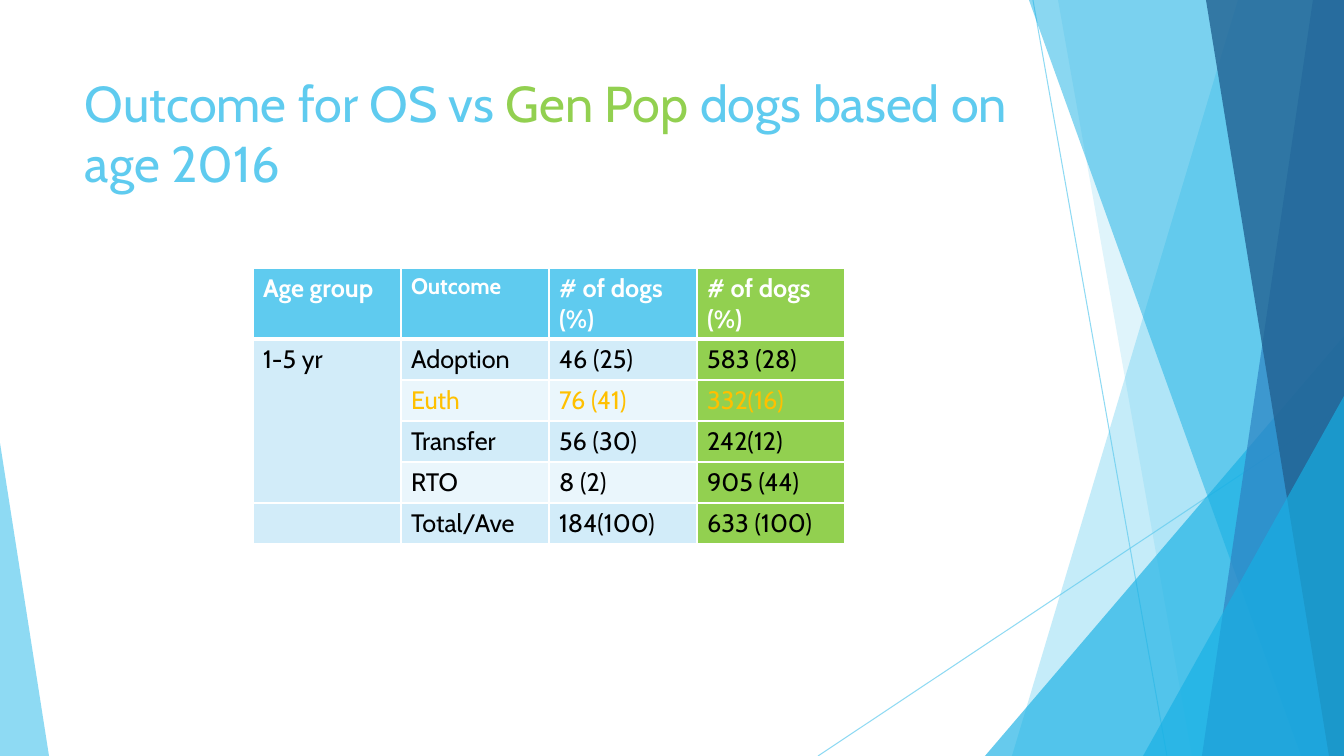
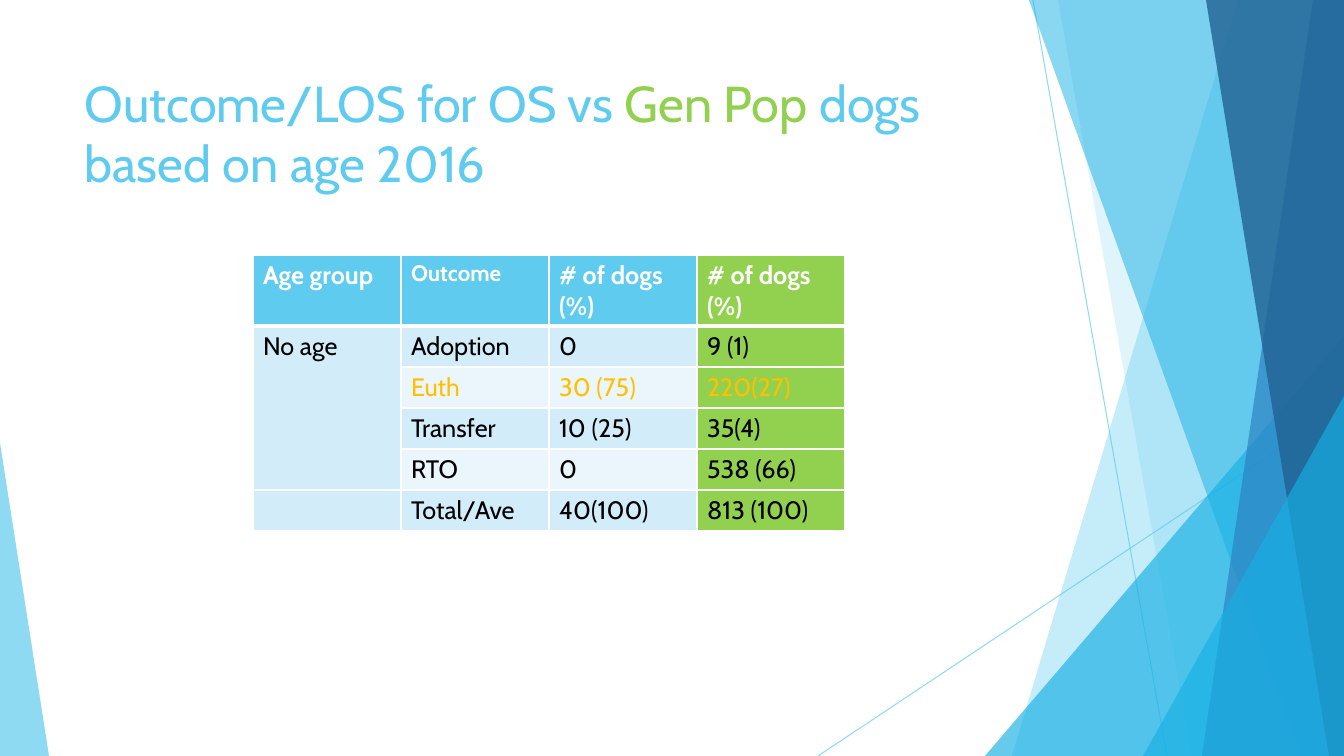
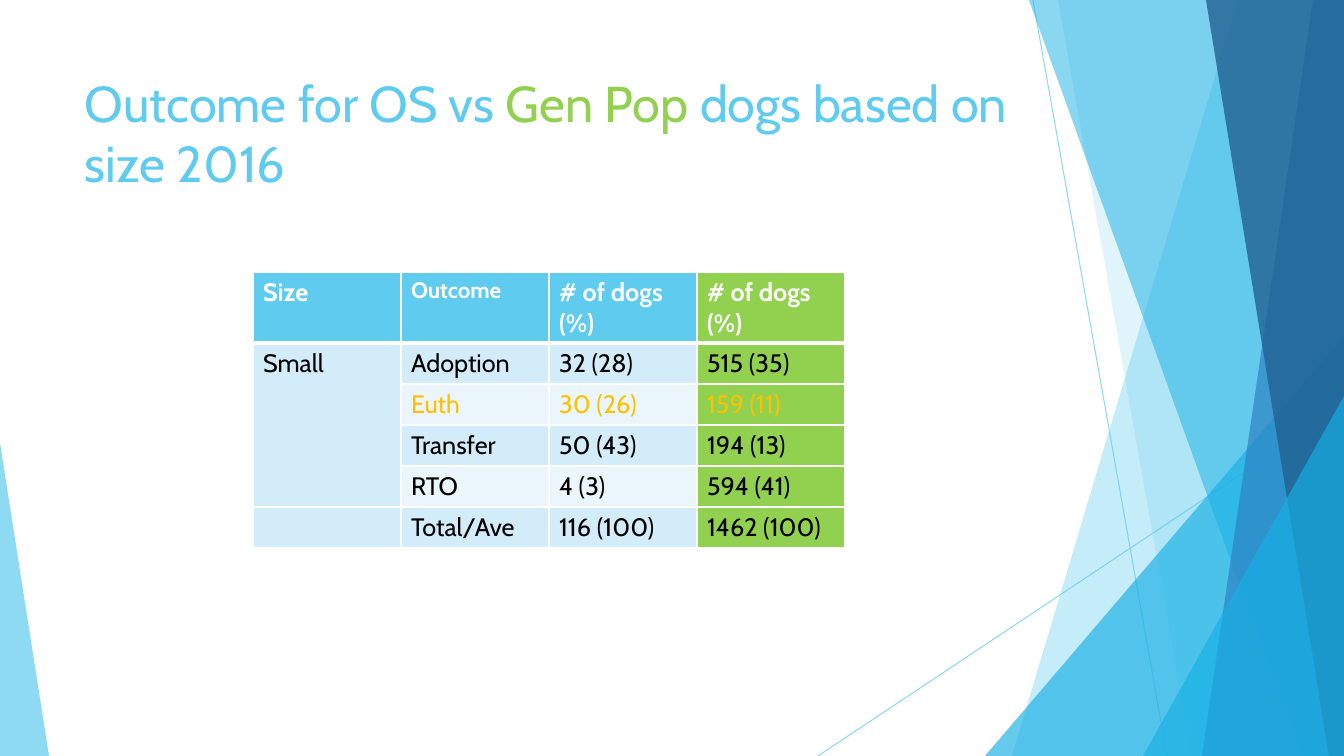
import pptx
import pptx.dml.color
import pptx.enum.shapes
import pptx.enum.text
import pptx.oxml.ns
import pptx.util
from lxml import etree

PX = 914400 / 100.8
WIDTH, HEIGHT = 1344, 756
FONT = "Cabin"
SKY, CYAN, BLUE, NAVY = "5FCBEF", "17B0E4", "2E83C3", "226292"
GREEN, AMBER, WHITE, BLACK = "92D050", "FFC000", "FFFFFF", "000000"
PALE, PALER = "D2ECF9", "EAF6FC"

RAYS = [((1033, 0), (1167, HEIGHT)), ((WIDTH, 406), (818, HEIGHT))]
FACETS = [
    ("band", (1238, 1012), SKY, 36),
    ("band", (1058, 1192), SKY, 20),
    ("triangle", (985, 336, 359, 1), CYAN, 66),
    ("band", (1029, 1301), CYAN, 50),
    ("band", (1313, 1202), BLUE, 70),
    ("band", (1206, 1329), NAVY, 80),
    ("triangle", (1143, 396, 201, 1), CYAN, 66),
    ("triangle", (0, 443, 49, 0), SKY, 70),
]

TITLE_AREA = (75, 67, 948, 145)
TABLE_LEFT, COLUMN_WIDTH, HEADER_HEIGHT, ROW_HEIGHT = 253, 148, 71, 41
OUTCOMES = ["Adoption", "Euth", "Transfer", "RTO", "Total/Ave"]
COUNT_HEADING = "# of dogs (%)"

SLIDES = [
    {
        "title": ("Outcome for OS vs ", "dogs based on age 2016"),
        "top": 268,
        "group": ("Age group", "1-5 yr"),
        "os": ["46 (25)", "76 (41)", "56 (30)", "8 (2)", "184(100)"],
        "gen_pop": ["583 (28)", "332(16)", "242(12)", "905 (44)", "633 (100)"],
    },
    {
        "title": ("Outcome/LOS for OS vs ", "dogs based on age 2016"),
        "top": 255,
        "group": ("Age group", "No age"),
        "os": ["0", "30 (75)", "10 (25)", "0", "40(100)"],
        "gen_pop": ["9 (1)", "220(27)", "35(4)", "538 (66)", "813 (100)"],
    },
    {
        "title": ("Outcome for OS vs ", "dogs based on size 2016"),
        "top": 272,
        "group": ("Size", "Small"),
        "os": ["32 (28)", "30 (26)", "50 (43)", "4 (3)", "116 (100)"],
        "gen_pop": ["515 (35)", "159 (11)", "194 (13)", "594 (41)", "1462 (100)"],
    },
]


def px(*lengths):
    return [pptx.util.Emu(round(length * PX)) for length in lengths]


def rgb(color):
    return pptx.dml.color.RGBColor.from_string(color)


def add_element(parent, tag, **attributes):
    return etree.SubElement(parent, pptx.oxml.ns.qn(tag), attributes)


def paint(fill, color):
    fill.solid()
    fill.fore_color.rgb = rgb(color)


def set_opacity(shape, percent):
    for color in shape._element.spPr.iter(pptx.oxml.ns.qn("a:srgbClr")):
        add_element(color, "a:alpha", val=str(percent * 1000))


def add_ray(page, start, end):
    line = page.shapes.add_connector(
        pptx.enum.shapes.MSO_CONNECTOR.STRAIGHT, *px(*start, *end))
    line.line.color.rgb = rgb(SKY)
    line.line.width = pptx.util.Pt(0.75)
    set_opacity(line, 70)
    add_element(line._element.spPr, "a:effectLst")


def add_band(page, top_x, bottom_x):
    outline = page.shapes.build_freeform(top_x, 0, scale=PX)
    outline.add_line_segments(
        [(WIDTH, 0), (WIDTH, HEIGHT), (bottom_x, HEIGHT)], close=True)
    return outline.convert_to_shape()


def add_triangle(page, left, top, width, apex):
    shape = page.shapes.add_shape(
        pptx.enum.shapes.MSO_SHAPE.ISOSCELES_TRIANGLE,
        *px(left, top, width, HEIGHT - top))
    shape.adjustments[0] = apex
    return shape


def add_backdrop(page):
    for start, end in RAYS:
        add_ray(page, start, end)
    builders = {"band": add_band, "triangle": add_triangle}
    for kind, geometry, color, opacity in FACETS:
        facet = builders[kind](page, *geometry)
        facet.shadow.inherit = False
        facet.line.fill.background()
        paint(facet.fill, color)
        set_opacity(facet, opacity)


def add_title(page, before, after):
    box = page.shapes.add_textbox(*px(*TITLE_AREA))
    box.text_frame.word_wrap = True
    box.text_frame.vertical_anchor = pptx.enum.text.MSO_ANCHOR.TOP
    para = box.text_frame.paragraphs[0]
    para.font.name = FONT
    para.font.size = pptx.util.Pt(36)
    for text, color in [(before, SKY), ("Gen Pop ", GREEN), (after, SKY)]:
        span = para.add_run()
        span.text = text
        span.font.color.rgb = rgb(color)


def set_borders(cell, top, bottom):
    properties = cell._tc.get_or_add_tcPr()
    for side, points in [("L", 1), ("R", 1), ("T", top), ("B", bottom)]:
        border = add_element(properties, f"a:ln{side}", w=str(points * 12700))
        add_element(add_element(border, "a:solidFill"), "a:srgbClr", val=WHITE)


def cell_fill(row, column):
    if column == 3:
        return GREEN
    if row == 0:
        return SKY
    return PALER if column and row % 2 == 0 else PALE


def text_color(row, column):
    if row == 0:
        return WHITE
    return AMBER if column and OUTCOMES[row - 1] == "Euth" else BLACK


def style_cell(cell, text, row, column):
    set_borders(cell, 3 if row == 1 else 1, 3 if row == 0 else 1)
    paint(cell.fill, cell_fill(row, column))
    para = cell.text_frame.paragraphs[0]
    if text:
        para.text = text
    para.font.name = FONT
    para.font.size = pptx.util.Pt(16 if (row, column) == (0, 1) else 18)
    para.font.bold = row == 0
    para.font.color.rgb = rgb(text_color(row, column))


def add_outcome_table(page, content):
    heading, group = content["group"]
    groups = [group] + [""] * (len(OUTCOMES) - 1)
    rows = [(heading, "Outcome", COUNT_HEADING, COUNT_HEADING)]
    rows += zip(groups, OUTCOMES, content["os"], content["gen_pop"])
    columns = len(rows[0])
    table = page.shapes.add_table(len(rows), columns, *px(
        TABLE_LEFT, content["top"], COLUMN_WIDTH * columns,
        HEADER_HEIGHT + ROW_HEIGHT * len(OUTCOMES))).table
    table.first_row = table.horz_banding = False
    for column in table.columns:
        column.width = px(COLUMN_WIDTH)[0]
    for index, texts in enumerate(rows):
        table.rows[index].height = px(ROW_HEIGHT if index else HEADER_HEIGHT)[0]
        for column, text in enumerate(texts):
            style_cell(table.cell(index, column), text, index, column)
    table.cell(1, 0).merge(table.cell(len(OUTCOMES) - 1, 0))


def main():
    deck = pptx.Presentation()
    deck.slide_width, deck.slide_height = px(WIDTH, HEIGHT)
    for content in SLIDES:
        page = deck.slides.add_slide(deck.slide_layouts[6])
        add_backdrop(page)
        add_title(page, *content["title"])
        add_outcome_table(page, content)
    deck.save("out.pptx")


if __name__ == "__main__":
    main()
